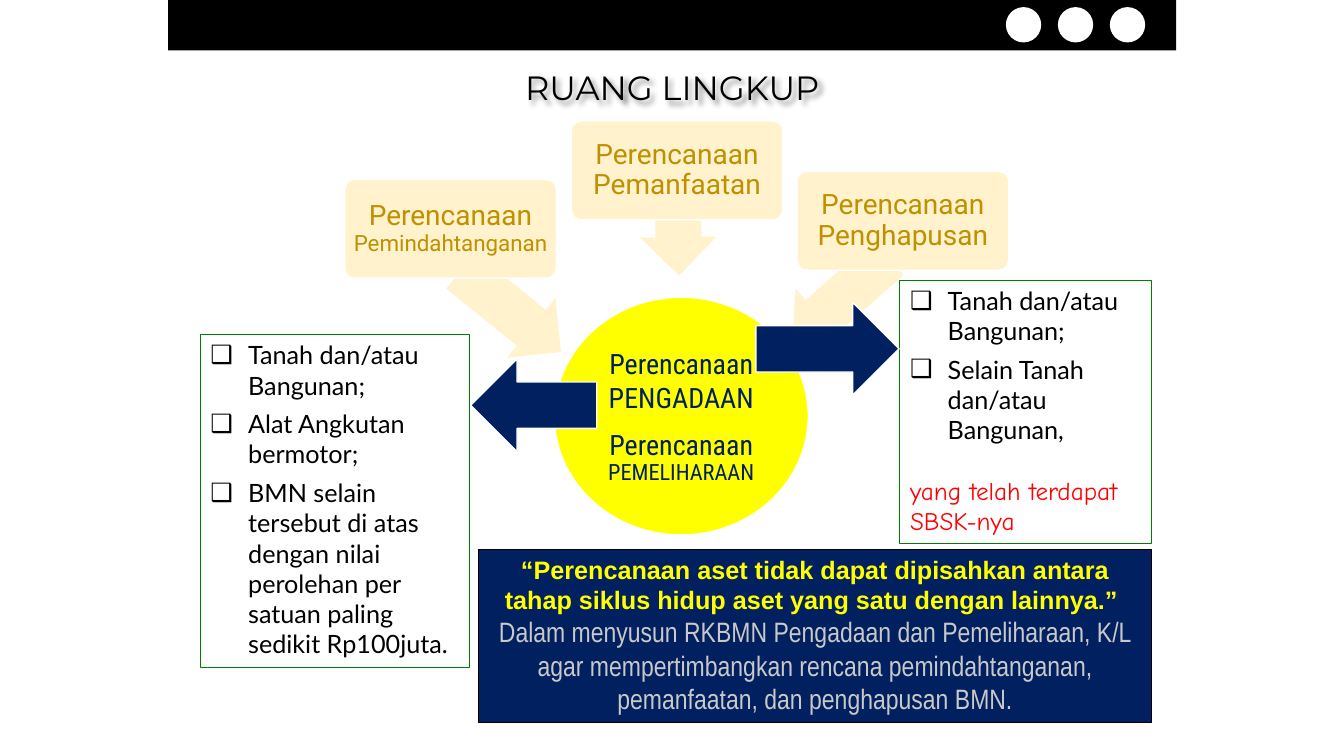
from lxml.etree import SubElement
from pptx import Presentation
from pptx.dml.color import RGBColor
from pptx.enum.shapes import MSO_SHAPE
from pptx.enum.text import MSO_ANCHOR, MSO_AUTO_SIZE, PP_ALIGN
from pptx.oxml.ns import qn
from pptx.util import Cm, Pt

NAVY, YELLOW, CREAM, GOLD = "002060", "FFFF00", "FFF2CC", "BF9000"
BLACK, WHITE, GREEN, RED, GREY = "000000", "FFFFFF", "008000", "FF0000", "C9C9C9"


def color(value):
    return RGBColor.from_string(value)


def place(shape, box):
    shape.left, shape.top, shape.width, shape.height = (Cm(length) for length in box)


def outline(shape, line, weight):
    shape.line.color.rgb = color(line)
    shape.line.width = Pt(weight)


def add_box(page, kind, box, fill, line=None, weight=1.0, turn=0):
    shape = page.shapes.add_shape(kind, *(Cm(length) for length in box))
    shape.shadow.inherit = False
    shape.rotation = turn
    shape.fill.solid()
    shape.fill.fore_color.rgb = color(fill)
    if line:
        outline(shape, line, weight)
    else:
        shape.line.fill.background()
    return shape


def set_frame(shape, anchor=MSO_ANCHOR.MIDDLE, margin=None):
    frame = shape.text_frame
    frame.word_wrap = True
    frame.auto_size = MSO_AUTO_SIZE.NONE
    frame.vertical_anchor = anchor
    if margin is not None:
        frame.margin_left = frame.margin_right = Cm(margin)
        frame.margin_top = frame.margin_bottom = Cm(margin)
    return frame


def add_para(frame, first, align=PP_ALIGN.CENTER, after=0, spacing=1.0):
    para = frame.paragraphs[0] if first else frame.add_paragraph()
    para.alignment = align
    para.space_before, para.space_after = Pt(0), Pt(after)
    para.line_spacing = spacing
    return para


def add_span(para, text, size, font, fill, bold=False):
    span = para.add_run()
    span.text = text
    span.font.size, span.font.bold = Pt(size), bold
    span.font.color.rgb = color(fill)
    span.font.name = font


def set_bullet(para, mark=None):
    """Hang the paragraph behind a mark, or remove mark and indent."""
    properties = para._p.get_or_add_pPr()
    hang = Cm(0.95) if mark else 0
    properties.set("marL", str(hang))
    properties.set("indent", str(-hang))
    if mark:
        SubElement(properties, qn("a:buFont"), typeface="Arial")
        SubElement(properties, qn("a:buChar"), char=mark)
    else:
        SubElement(properties, qn("a:buNone"))


def add_header(page, box):
    left, top, width, height = box
    add_box(page, MSO_SHAPE.RECTANGLE, box, BLACK)
    for index in range(3):
        dot = (left + 21.11 + 1.31 * index, top + 0.18, 0.89, 0.89)
        add_box(page, MSO_SHAPE.OVAL, dot, WHITE)


def fill_title(title, box, text):
    place(title, box)
    para = add_para(set_frame(title, MSO_ANCHOR.TOP), True)
    add_span(para, text, 24, "Montserrat", BLACK)
    # Soft shadow: the title has no fill, so it falls from the letters
    effects = SubElement(title.element.spPr, qn("a:effectLst"))
    shadow = SubElement(effects, qn("a:outerShdw"), blurRad="38100",
                        dist="38100", dir="2700000", algn="tl")
    tone = SubElement(shadow, qn("a:srgbClr"), val=BLACK)
    SubElement(tone, qn("a:alpha"), val="43000")


def add_core(page, box):
    core = add_box(page, MSO_SHAPE.OVAL, box, YELLOW, WHITE)
    frame = set_frame(core, margin=0.03)
    para = add_para(frame, True, after=12)
    add_span(para, "Perencanaan PENGADAAN", 20, "Roboto Condensed", NAVY)
    para = add_para(frame, False, spacing=0.9)
    add_span(para, "Perencanaan ", 20, "Roboto Condensed", NAVY)
    add_span(para, "PEMELIHARAAN", 16, "Roboto Condensed", NAVY)


def add_stage(page, box, name, size, arrow):
    """A stage card with its arrow, offset from the card's corner."""
    left, top, width, height = box
    across, down, length, turn = arrow
    pointer = add_box(page, MSO_SHAPE.LEFT_ARROW,
                      (left + across, top + down, length, 1.93), CREAM, turn=turn)
    pointer.adjustments[0] = 0.6
    card = add_box(page, MSO_SHAPE.ROUNDED_RECTANGLE, box, CREAM, WHITE)
    card.adjustments[0] = 0.1
    para = add_para(set_frame(card, margin=0.05), True, spacing=0.9)
    add_span(para, "Perencanaan ", 20, "Roboto", GOLD)
    add_span(para, name, size, "Roboto", GOLD)


def fill_list(body, box, items, note=None):
    place(body, box)
    outline(body, GREEN, 0.75)
    frame = set_frame(body, MSO_ANCHOR.TOP)
    for index, item in enumerate(items):
        last = index == len(items) - 1
        after = 6 if not last else 21.6 if note else 0
        para = add_para(frame, index == 0, PP_ALIGN.LEFT, after)
        set_bullet(para, "❑")
        add_span(para, item, 18, "Lato", BLACK)
    if note:
        para = add_para(frame, False, PP_ALIGN.LEFT)
        set_bullet(para)
        add_span(para, note, 18, "Comic Neue", RED)


def add_quote(page, box):
    panel = add_box(page, MSO_SHAPE.RECTANGLE, box, NAVY, BLACK, 0.75)
    frame = set_frame(panel, MSO_ANCHOR.TOP)
    add_span(add_para(frame, True),
             "“Perencanaan aset tidak dapat dipisahkan antara tahap siklus hidup "
             "aset yang satu dengan lainnya.” ", 18, "Arial", YELLOW, True)
    add_span(add_para(frame, False),
             "Dalam menyusun RKBMN Pengadaan dan Pemeliharaan, K/L agar "
             "mempertimbangkan rencana pemindahtanganan, pemanfaatan, dan "
             "penghapusan BMN.", 20, "Arial Narrow", GREY)


def main():
    deck = Presentation()
    deck.slide_width, deck.slide_height = Cm(33.87), Cm(19.05)
    page = deck.slides.add_slide(deck.slide_layouts[3])
    title, left_body, right_body = page.placeholders

    # Title and lists
    fill_title(title, (4.24, 1.57, 25.4, 1.3), "RUANG LINGKUP")
    fill_list(left_body, (5.05, 8.43, 6.78, 8.38), [
        "Tanah dan/atau Bangunan;",
        "Alat Angkutan bermotor;",
        "BMN selain tersebut di atas dengan nilai perolehan per satuan "
        "paling sedikit Rp100juta.",
    ])
    fill_list(right_body, (22.68, 7.06, 6.35, 6.63), [
        "Tanah dan/atau Bangunan;",
        "Selain Tanah dan/atau Bangunan,",
    ], "yang telah terdapat SBSK-nya")

    # Planning diagram
    add_core(page, (13.97, 7.49, 6.4, 5.99))
    stages = [
        (8.69, 4.52, "Pemindahtanganan", 16, (2.56, 2.36, 3.25, 219)),
        (14.4, 3.05, "Pemanfaatan", 20, (1.5, 1.73, 2.39, 269.1)),
        (20.09, 4.32, "Penghapusan", 20, (-0.53, 2.28, 3.23, 318.6)),
    ]
    for left, top, name, size, arrow in stages:
        add_stage(page, (left, top, 5.33, 2.49), name, size, arrow)

    # Arrows to the lists
    for box, turn in [((19.05, 7.62, 3.61, 2.34), 0), ((11.86, 9.04, 3.18, 2.34), 180)]:
        add_box(page, MSO_SHAPE.RIGHT_ARROW, box, NAVY, WHITE, turn=turn)

    # Quote and header band
    add_quote(page, (12.07, 13.84, 16.94, 4.37))
    add_header(page, (4.24, 0, 25.4, 1.27))
    deck.save("out.pptx")


if __name__ == "__main__":
    main()
